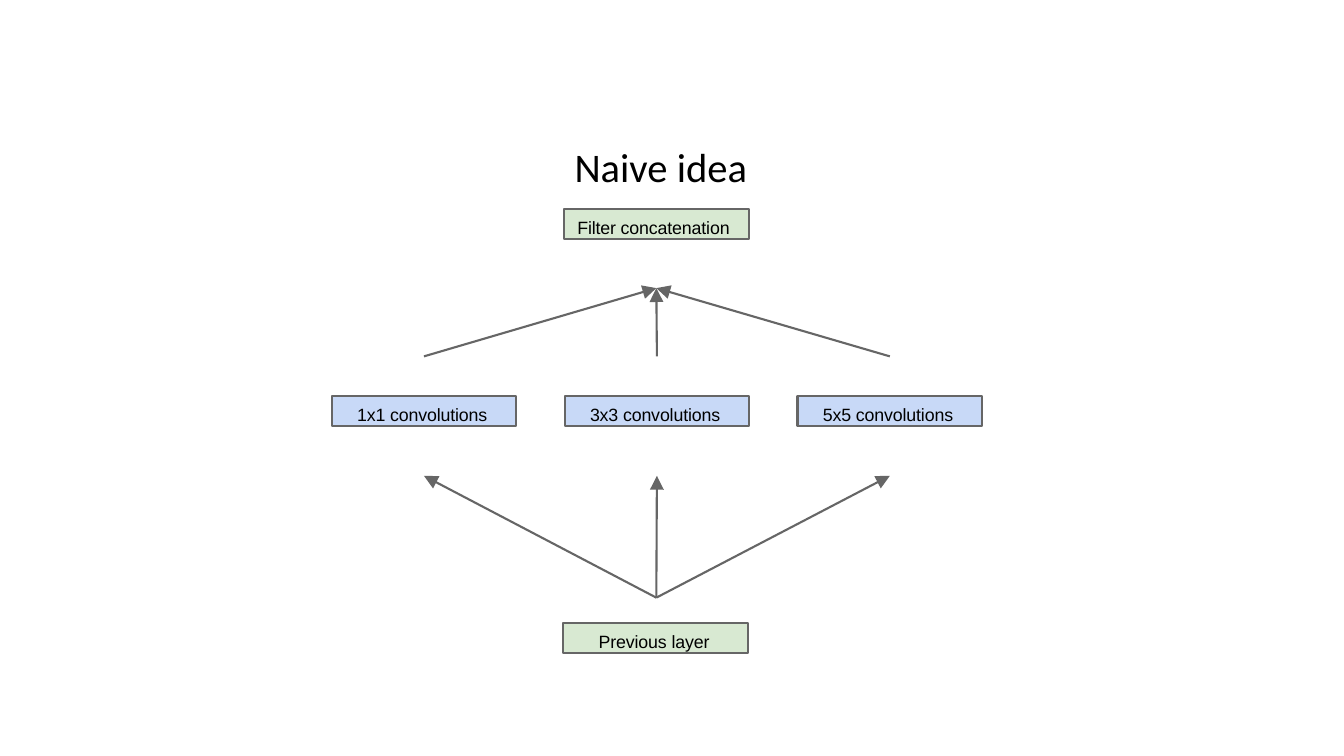
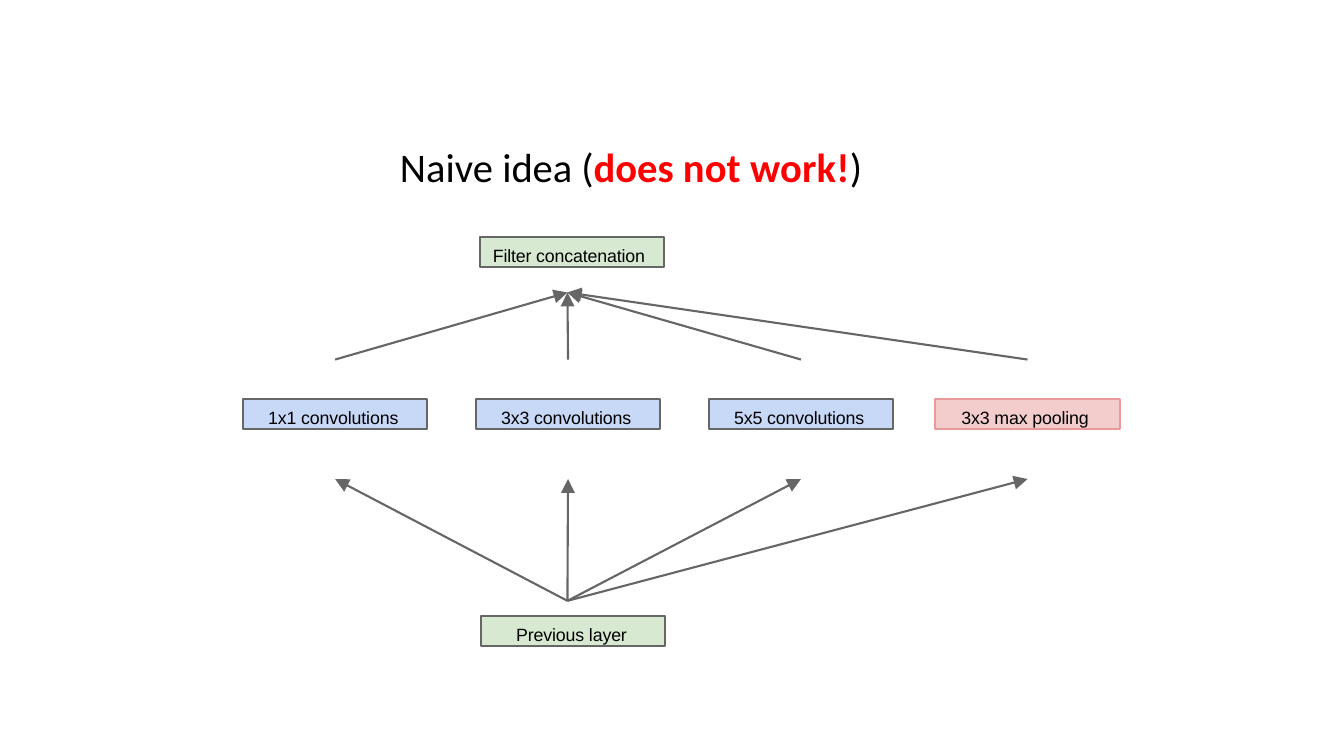
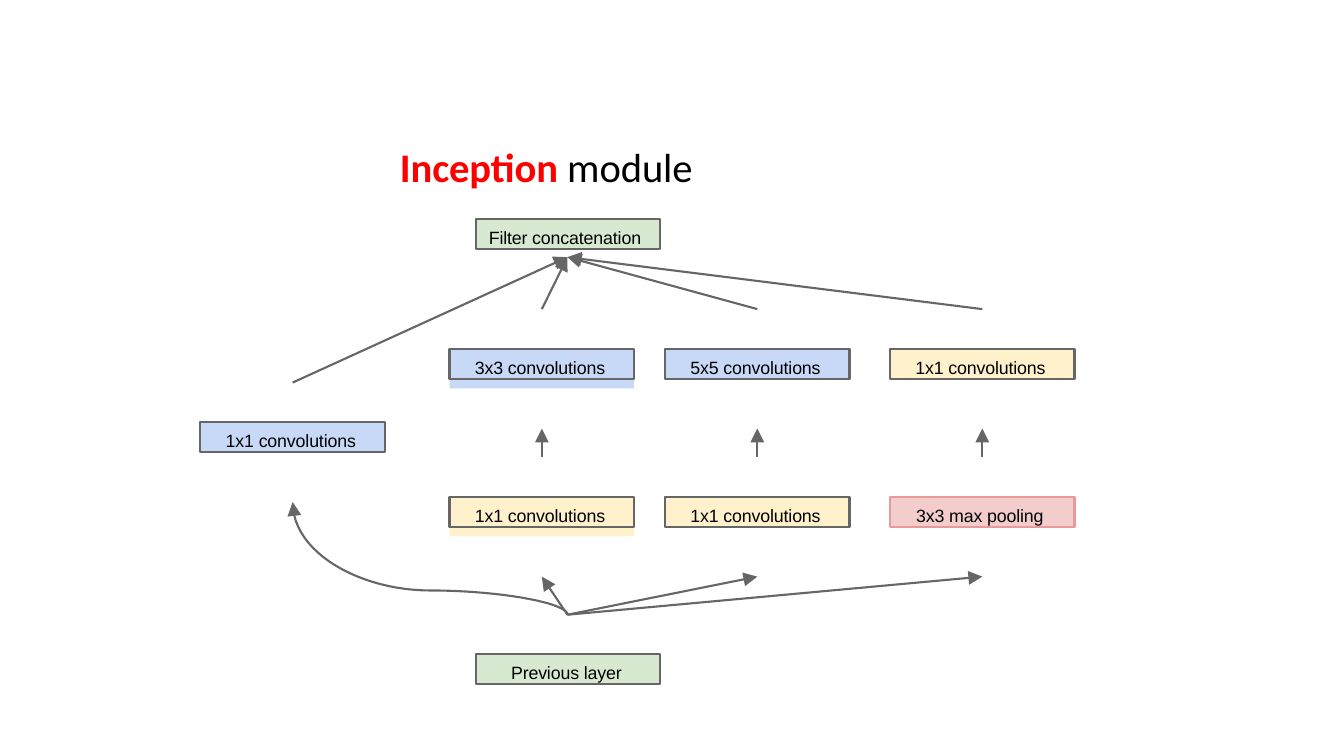
from dataclasses import dataclass

from lxml import etree
from pptx import Presentation
from pptx.dml.color import RGBColor
from pptx.enum.shapes import MSO_CONNECTOR, MSO_SHAPE
from pptx.enum.text import MSO_ANCHOR, MSO_AUTO_SIZE, PP_ALIGN
from pptx.oxml.ns import qn
from pptx.util import Cm, Pt

RECT = MSO_SHAPE.RECTANGLE
STRAIGHT = MSO_CONNECTOR.STRAIGHT
TOP, BOTTOM = MSO_ANCHOR.TOP, MSO_ANCHOR.BOTTOM
GROW = MSO_AUTO_SIZE.SHAPE_TO_FIT_TEXT
LEFT = PP_ALIGN.LEFT

Point = tuple[float, float]


@dataclass(frozen=True)
class Theme:
    black: str = "000000"
    red: str = "FF0000"
    gray: str = "666666"
    blue: str = "C8D9F7"
    green: str = "D8E9D2"
    cream: str = "FFF1CC"
    pink: str = "F3CCCC"
    rose: str = "E99999"
    head: str = "Calibri"
    body: str = "Arial"
    big: float = 29
    small: float = 12.7
    stroke: float = 1.5


@dataclass(frozen=True)
class Run:
    text: str
    color: str
    bold: bool = False
    space: int = 0  # hundredths of a point


@dataclass(frozen=True)
class Box:
    text: str
    x: float
    y: float
    fill: str
    pad: float = 0.64
    edge: str = Theme.gray
    deep: bool = False  # fill reaches below the frame

    @property
    def mid(self) -> float:
        return self.x + WIDE / 2

    @property
    def exit(self) -> Point:
        return self.mid, self.y - RISE

    @property
    def entry(self) -> Point:
        return self.mid, self.y + DROP


@dataclass(frozen=True)
class Graph:
    title: list[Run]
    pad: float
    ends: list[Box]
    outs: list[Box]  # boxes that feed the top hub
    ins: list[Box]  # boxes fed by the low hub
    top: Point
    low: Point
    side: Box | None = None  # box reached by the curve


THEME = Theme()

# Lengths in centimetres
WIDE, HIGH, DEEP = 4.65, 0.76, 1.0
RISE, DROP = 1.0, 2.01
STEP = 5.87


# Box kinds
def conv(size: int, x: float, y: float, fill: str = THEME.blue, deep: bool = False) -> Box:
    return Box(f"{size}x{size} convolutions", x, y, fill, deep=deep)


def pool(x: float, y: float) -> Box:
    return Box("3x3 max pooling", x, y, THEME.pink, 0.66, THEME.rose)


def caps(top: Point, low: Point) -> list[Box]:
    return [Box("Filter concatenation", *top, THEME.green, 0.33),
            Box("Previous layer", *low, THEME.green, 0.89)]


def convs(x: float, y: float) -> list[Box]:
    return [conv(size, x + i * STEP, y) for i, size in enumerate((1, 3, 5))]


# Drawing
def write(shape, runs: list[Run], font: str, size: float, pad: float,
          inset: float, anchor, before: float = 0, lead: float = 1.0) -> None:
    frame = shape.text_frame
    frame.word_wrap = True
    frame.auto_size = GROW
    frame.vertical_anchor = anchor
    frame.margin_left = frame.margin_right = frame.margin_bottom = 0
    frame.margin_top = Cm(inset)
    para = frame.paragraphs[0]
    para.alignment = LEFT
    para.space_before = Pt(before)
    para.line_spacing = lead
    props = para._p.get_or_add_pPr()
    props.set("marL", str(Cm(pad)))
    props.set("indent", "0")
    for item in runs:
        run = para.add_run()
        run.text = item.text
        run.font.name = font
        run.font.size = Pt(size)
        run.font.bold = item.bold
        run.font.color.rgb = RGBColor.from_string(item.color)
        run._r.get_or_add_rPr().set("spc", str(item.space))


def block(slide, box: Box, high: float):
    shape = slide.shapes.add_shape(RECT, Cm(box.x), Cm(box.y), Cm(WIDE), Cm(high))
    shape.shadow.inherit = False
    shape.fill.solid()
    shape.fill.fore_color.rgb = RGBColor.from_string(box.fill)
    return shape


def draw_box(slide, box: Box) -> None:
    if box.deep:
        block(slide, box, DEEP).line.fill.background()
    shape = block(slide, box, HIGH)
    shape.line.color.rgb = RGBColor.from_string(box.edge)
    shape.line.width = Pt(THEME.stroke)
    write(shape, [Run(box.text, THEME.black, space=-10)], THEME.body, THEME.small,
          box.pad, 0.2, TOP, before=5.9)


def point(shape) -> None:
    """Give an open line its stroke and arrowhead."""
    shape.line.color.rgb = RGBColor.from_string(THEME.gray)
    shape.line.width = Pt(THEME.stroke)
    etree.SubElement(shape.line._get_or_add_ln(), qn("a:tailEnd"),
                     type="triangle", w="lg", len="lg")


def arrow(slide, start: Point, end: Point) -> None:
    line = slide.shapes.add_connector(STRAIGHT, *(Cm(v) for v in start + end))
    point(line)
    etree.SubElement(line._element.spPr, qn("a:effectLst"))


def bend(a: Point, b: Point, c: Point, d: Point, count: int = 24) -> list[Point]:
    """Points along a cubic curve, without its start."""
    spots = []
    for i in range(1, count + 1):
        t = i / count
        u = 1 - t
        mix = (u ** 3, 3 * u * u * t, 3 * u * t * t, t ** 3)
        spots.append((sum(m * p[0] for m, p in zip(mix, (a, b, c, d))),
                      sum(m * p[1] for m, p in zip(mix, (a, b, c, d)))))
    return spots


def curve(slide, start: Point, end: Point) -> None:
    mid = ((start[0] + end[0]) / 2, start[1] - 0.61)
    near = (start[0] + mid[0]) / 2
    far = (end[0] + mid[0]) / 2
    spots = bend(start, (start[0], start[1] - 0.3), (near, mid[1]), mid)
    spots += bend(mid, (far, mid[1]), (end[0], end[1] + 1.3), end)
    form = slide.shapes.build_freeform(Cm(start[0]), Cm(start[1]))
    form.add_line_segments([(Cm(x), Cm(y)) for x, y in spots], close=False)
    shape = form.convert_to_shape()
    shape.shadow.inherit = False
    shape.fill.background()
    point(shape)


def draw(deck, graph: Graph) -> None:
    slide = deck.slides.add_slide(deck.slide_layouts[6])
    # Title
    title = slide.shapes.add_textbox(Cm(7.29), Cm(3.51), Cm(27.94), Cm(1.32))
    write(title, graph.title, THEME.head, THEME.big, graph.pad, 0.25, BOTTOM, lead=0.9)
    # Boxes, each drawn once
    boxes = graph.ends + graph.outs + [b for b in graph.ins if b not in graph.outs]
    for box in boxes:
        draw_box(slide, box)
    # Arrows
    for box in graph.outs:
        arrow(slide, box.exit, graph.top)
    for box in graph.ins:
        arrow(slide, graph.low, box.entry)
    if graph.side:
        curve(slide, graph.low, graph.side.entry)
        for low, high in zip(graph.ins, graph.outs[1:]):
            arrow(slide, low.exit, high.entry)


# Slide content
plain = convs(8.36, 9.98)
pooled = convs(6.12, 10.06) + [pool(23.57, 10.06)]
side = conv(1, 5.05, 10.64)
lanes = (11.33, 16.76, 22.43)
upper, lower = 8.79, 12.52
outs = [side,
        conv(3, lanes[0], upper, deep=True),
        conv(5, lanes[1], upper),
        conv(1, lanes[2], upper, THEME.cream)]
ins = [conv(1, lanes[0], lower, THEME.cream, True),
       conv(1, lanes[1], lower, THEME.cream),
       pool(lanes[2], lower)]

graphs = [
    Graph([Run("Naive idea", THEME.black)], 7.19,
          caps((14.22, 5.26), (14.2, 15.7)), plain, plain,
          (16.54, 7.26), (16.54, 15.06)),
    Graph([Run("Naive ", THEME.black), Run("idea ", THEME.black, space=-10),
           Run("(", THEME.black), Run("does not ", THEME.red, True),
           Run("work!", THEME.red, True, 10), Run(")", THEME.black, space=10)], 2.79,
          caps((12.09, 5.97), (12.12, 15.52)), pooled, pooled,
          (14.3, 7.37), (14.3, 15.14)),
    Graph([Run("Inception ", THEME.red, True, -10),
           Run("module", THEME.black, space=-10)], 2.79,
          caps((11.99, 5.51), (11.99, 16.48)), outs, ins,
          (14.3, 6.48), (14.3, 15.49), side),
]

deck = Presentation()
deck.slide_width, deck.slide_height = Cm(33.87), Cm(19.05)
for graph in graphs:
    draw(deck, graph)
deck.save("out.pptx")
